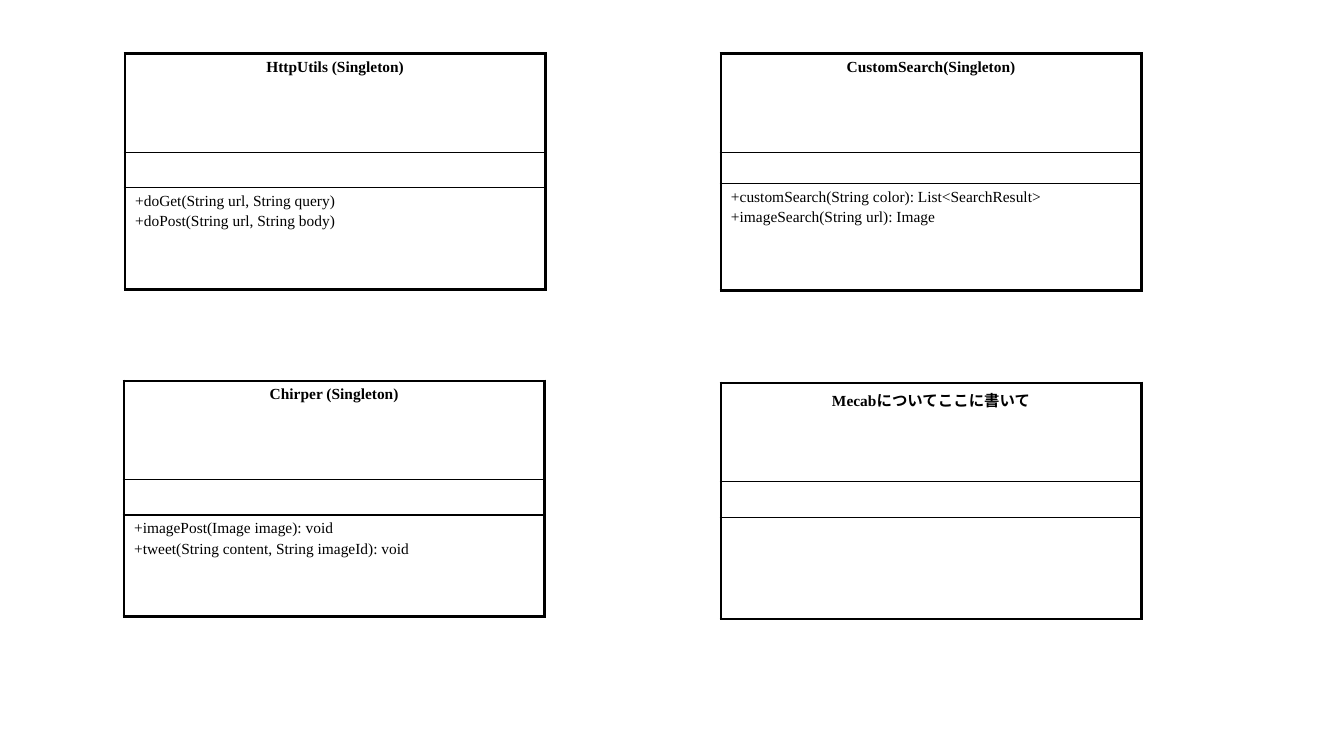
from dataclasses import dataclass

from lxml import etree
from pptx import Presentation
from pptx.dml.color import RGBColor
from pptx.enum.text import PP_ALIGN
from pptx.oxml.ns import qn
from pptx.util import Emu, Pt

CENTER, LEFT = PP_ALIGN.CENTER, PP_ALIGN.LEFT
EMU_PER_PX = 9144
SLIDE_WIDTH, SLIDE_HEIGHT = 1333, 750
CLASS_WIDTH = 417

CLASSES = [
    {"name": "HttpUtils (Singleton)", "at": (124, 53), "rows": (98, 35, 101),
     "methods": ["+doGet(String url, String query)",
                 "+doPost(String url, String body)"]},
    {"name": "CustomSearch(Singleton)", "at": (715, 53), "rows": (98, 31, 106),
     "methods": ["+customSearch(String color): List<SearchResult>",
                 "+imageSearch(String url): Image"]},
    {"name": "Chirper (Singleton)", "at": (123, 378), "rows": (98, 35, 101),
     "methods": ["+imagePost(Image image): void",
                 "+tweet(String content, String imageId): void"]},
    {"name": "Mecabについてここに書いて", "at": (715, 380), "rows": (98, 35, 101),
     "methods": []},
]


@dataclass(frozen=True)
class Theme:
    font: str = "Times New Roman"
    size: float = 11
    space_before: float = 2.2
    ink: str = "000000"
    paper: str = "FFFFFF"
    frame: float = 2.25
    divider: float = 1


THEME = Theme()


def px(length):
    return Emu(length * EMU_PER_PX)


def add_borders(cell, top, bottom):
    properties = cell._tc.get_or_add_tcPr()
    sides = {"L": THEME.frame, "R": THEME.frame, "T": top, "B": bottom}
    for side, width in sides.items():
        line = etree.SubElement(properties, qn(f"a:ln{side}"), w=str(Pt(width)))
        fill = etree.SubElement(line, qn("a:solidFill"))
        etree.SubElement(fill, qn("a:srgbClr"), val=THEME.ink)


def write_lines(cell, lines, bold, alignment):
    frame = cell.text_frame
    frame.text = "\n".join(lines)
    for paragraph in frame.paragraphs:
        paragraph.alignment = alignment
        paragraph.space_before = Pt(THEME.space_before)
        font = paragraph.font
        font.name = THEME.font
        font.size = Pt(THEME.size)
        font.bold = bold
        font.color.rgb = RGBColor.from_string(THEME.ink)
        if not lines:
            etree.SubElement(paragraph._p, qn("a:endParaRPr"),
                             sz=str(int(THEME.size * 100)))


def add_class(slide, name, at, rows, methods):
    left, top = at
    table = slide.shapes.add_table(
        len(rows), 1, px(left), px(top), px(CLASS_WIDTH), px(sum(rows))).table
    table.first_row = False
    table.horz_banding = False
    compartments = [([name], True, CENTER), ([], False, LEFT), (methods, False, LEFT)]
    last = len(rows) - 1
    for index, (height, compartment) in enumerate(zip(rows, compartments)):
        table.rows[index].height = px(height)
        cell = table.cell(index, 0)
        add_borders(cell,
                    THEME.frame if index == 0 else THEME.divider,
                    THEME.frame if index == last else THEME.divider)
        cell.fill.solid()
        cell.fill.fore_color.rgb = RGBColor.from_string(THEME.paper)
        write_lines(cell, *compartment)


def main():
    deck = Presentation()
    deck.slide_width, deck.slide_height = px(SLIDE_WIDTH), px(SLIDE_HEIGHT)
    slide = deck.slides.add_slide(deck.slide_layouts[6])
    for entry in CLASSES:
        add_class(slide, **entry)
    deck.save("out.pptx")


if __name__ == "__main__":
    main()
